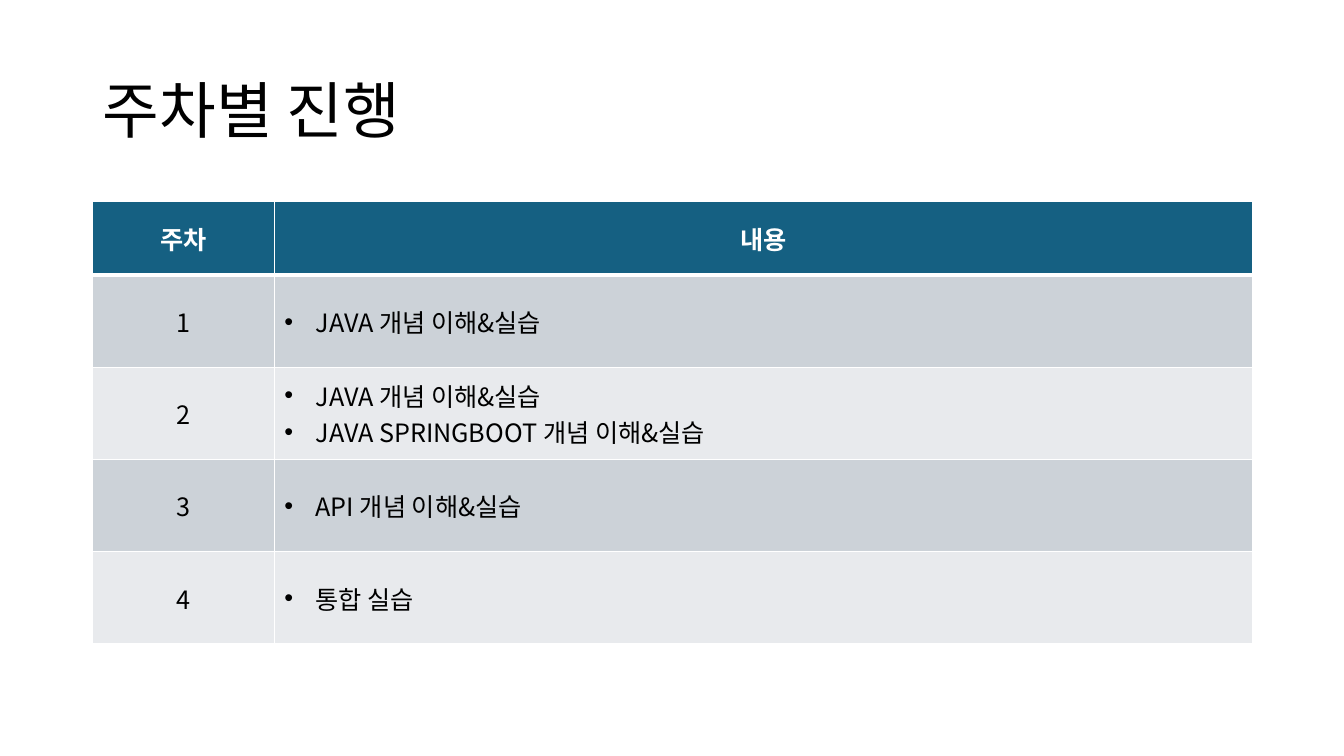
import pptx
import pptx.dml.color
import pptx.enum.text
import pptx.oxml
import pptx.oxml.ns
import pptx.util
from lxml import etree

Inches = pptx.util.Inches
Pt = pptx.util.Pt
qn = pptx.oxml.ns.qn
Align = pptx.enum.text.PP_ALIGN
Anchor = pptx.enum.text.MSO_ANCHOR

TITLE = "주차별 진행"
HEADINGS = ("주차", "내용")
WEEKS = [
    ["JAVA 개념 이해&실습"],
    ["JAVA 개념 이해&실습", "JAVA SPRINGBOOT 개념 이해&실습"],
    ["API 개념 이해&실습"],
    ["통합 실습"],
]

THEME = {
    "font": "Noto Sans CJK KR",
    "title_size": 44,
    "table_size": 18,
    "text": "000000",
    "header_text": "FFFFFF",
    "header_fill": "156082",
    "bands": ("CCD2D8", "E8EAED"),
    "border": "FFFFFF",
}
LEFT, WIDTH = 0.92, 11.5
TITLE_TOP, TITLE_HEIGHT = 0.4, 1.45
TABLE_TOP = 2
COLUMN_WIDTHS = (1.8, 9.7)
HEADER_HEIGHT, WEEK_HEIGHT = 0.73, 0.915
BULLET_INDENT = 0.31
THIN, THICK = 1, 3


def color(name):
    return pptx.dml.color.RGBColor.from_string(name)


def style_paragraph(para, size, text_color, bold=False):
    for span in para.runs:
        span.font.size = Pt(size)
        span.font.bold = bold
        span.font.name = THEME["font"]
        span.font.color.rgb = color(text_color)
        east_asian = etree.SubElement(span.font._element, qn("a:ea"))
        east_asian.set("typeface", THEME["font"])


def add_bullet(para):
    properties = para._p.get_or_add_pPr()
    indent = Inches(BULLET_INDENT)
    properties.set("marL", str(indent))
    properties.set("indent", str(-indent))
    etree.SubElement(properties, qn("a:buFont")).set("typeface", "Arial")
    etree.SubElement(properties, qn("a:buChar")).set("char", "•")


def set_borders(cell, top, bottom):
    properties = cell._tc.get_or_add_tcPr()
    for side, width in (("L", THIN), ("R", THIN), ("T", top), ("B", bottom)):
        line = etree.SubElement(properties, qn("a:ln" + side))
        line.set("w", str(Pt(width)))
        fill = etree.SubElement(line, qn("a:solidFill"))
        etree.SubElement(fill, qn("a:srgbClr")).set("val", THEME["border"])


def fill_cell(cell, lines, row, bulleted):
    header = row == 0
    set_borders(cell, THICK if row == 1 else THIN, THICK if header else THIN)
    cell.fill.solid()
    band = THEME["bands"][(row - 1) % 2]
    cell.fill.fore_color.rgb = color(THEME["header_fill"] if header else band)
    cell.vertical_anchor = Anchor.MIDDLE
    cell.text_frame.text = "\n".join(lines)
    for para in cell.text_frame.paragraphs:
        if bulleted:
            add_bullet(para)
        else:
            para.alignment = Align.CENTER
        text_color = THEME["header_text"] if header else THEME["text"]
        style_paragraph(para, THEME["table_size"], text_color, header)


def add_title(page):
    box = page.shapes.add_textbox(
        Inches(LEFT), Inches(TITLE_TOP), Inches(WIDTH), Inches(TITLE_HEIGHT))
    frame = box.text_frame
    frame.word_wrap = True
    frame.vertical_anchor = Anchor.MIDDLE
    frame.text = TITLE
    para = frame.paragraphs[0]
    para.line_spacing = 0.9
    style_paragraph(para, THEME["title_size"], THEME["text"])


def add_schedule(page):
    height = HEADER_HEIGHT + WEEK_HEIGHT * len(WEEKS)
    table = page.shapes.add_table(
        len(WEEKS) + 1, len(HEADINGS), Inches(LEFT), Inches(TABLE_TOP),
        Inches(WIDTH), Inches(height)).table
    table.horz_banding = False
    for column, width in zip(table.columns, COLUMN_WIDTHS):
        column.width = Inches(width)
    for index, row in enumerate(table.rows):
        row.height = Inches(WEEK_HEIGHT if index else HEADER_HEIGHT)
    for column, heading in enumerate(HEADINGS):
        fill_cell(table.cell(0, column), [heading], 0, False)
    for week, topics in enumerate(WEEKS, 1):
        fill_cell(table.cell(week, 0), [str(week)], week, False)
        fill_cell(table.cell(week, 1), topics, week, True)


def main():
    deck = pptx.Presentation()
    deck.slide_width = Inches(13.33)
    deck.slide_height = Inches(7.5)
    page = deck.slides.add_slide(deck.slide_layouts[6])
    add_schedule(page)
    add_title(page)
    deck.save("out.pptx")


if __name__ == "__main__":
    main()
